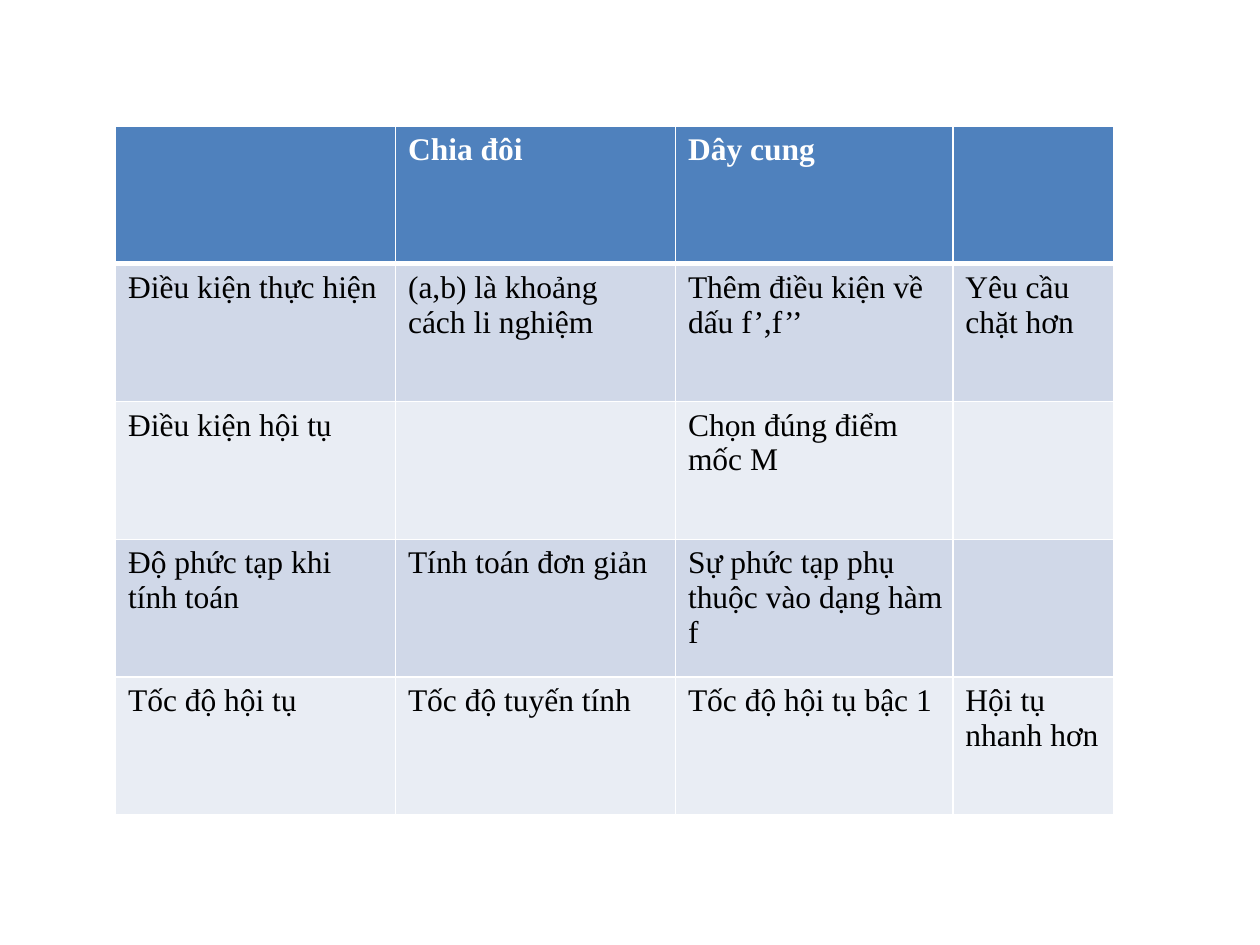
from lxml import etree
from pptx import Presentation
from pptx.dml.color import RGBColor
from pptx.oxml.ns import qn
from pptx.util import Pt

THEME = {
    "font": "Times New Roman",
    "size": 18,
    "header_fill": "4F81BD",
    "header_text": "FFFFFF",
    "body_text": "000000",
    "bands": ("D0D8E8", "E9EDF4"),
    "border": "FFFFFF",
    "thin": 1,
    "thick": 3,
}

METHODS = [
    ("", "Chia đôi", "Dây cung"),
    ("Điều kiện thực hiện", "(a,b) là khoảng cách li nghiệm", "Thêm điều kiện về dấu f’,f’’"),
    ("Điều kiện hội tụ", "", "Chọn đúng điểm mốc M"),
    ("Độ phức tạp khi tính toán", "Tính toán đơn giản", "Sự phức tạp phụ thuộc vào dạng hàm f"),
    ("Tốc độ hội tụ", "Tốc độ tuyến tính", "Tốc độ hội tụ bậc 1"),
]
REMARKS = [("",), ("Yêu cầu chặt hơn",), ("",), ("",), ("Hội tụ nhanh hơn",)]

TOP = 72
ROW_HEIGHT = 78.75
# rows, left edge, column width
TABLES = [(METHODS, 66, 160), (REMARKS, 544.5, 92)]


def add_borders(cell, row_number):
    """Draw thin borders, with a thick rule between header and body."""
    thin, thick = THEME["thin"], THEME["thick"]
    widths = {
        "a:lnL": thin,
        "a:lnR": thin,
        "a:lnT": thick if row_number == 1 else thin,
        "a:lnB": thick if row_number == 0 else thin,
    }
    properties = cell._tc.get_or_add_tcPr()
    for tag, width in widths.items():
        line = etree.SubElement(properties, qn(tag), w=str(Pt(width)))
        fill = etree.SubElement(line, qn("a:solidFill"))
        etree.SubElement(fill, qn("a:srgbClr"), val=THEME["border"])


def format_cell(cell, text, row_number):
    is_header = row_number == 0
    add_borders(cell, row_number)
    band = THEME["bands"][(row_number - 1) % 2]
    cell.fill.solid()
    cell.fill.fore_color.rgb = RGBColor.from_string(THEME["header_fill"] if is_header else band)
    cell.text_frame.text = text
    font = cell.text_frame.paragraphs[0].font
    if text:
        font = cell.text_frame.paragraphs[0].runs[0].font
    font.name = THEME["font"]
    font.size = Pt(THEME["size"])
    font.bold = is_header
    font.color.rgb = RGBColor.from_string(THEME["header_text" if is_header else "body_text"])


def add_comparison_table(slide, rows, left, column_width):
    column_count = len(rows[0])
    table = slide.shapes.add_table(
        len(rows), column_count, Pt(left), Pt(TOP),
        Pt(column_width * column_count), Pt(ROW_HEIGHT * len(rows)),
    ).table
    for row_number, texts in enumerate(rows):
        for column_number, text in enumerate(texts):
            format_cell(table.cell(row_number, column_number), text, row_number)


def main():
    presentation = Presentation()
    presentation.slide_width, presentation.slide_height = Pt(720), Pt(540)
    slide = presentation.slides.add_slide(presentation.slide_layouts[6])
    for rows, left, column_width in TABLES:
        add_comparison_table(slide, rows, left, column_width)
    presentation.save("out.pptx")


if __name__ == "__main__":
    main()
